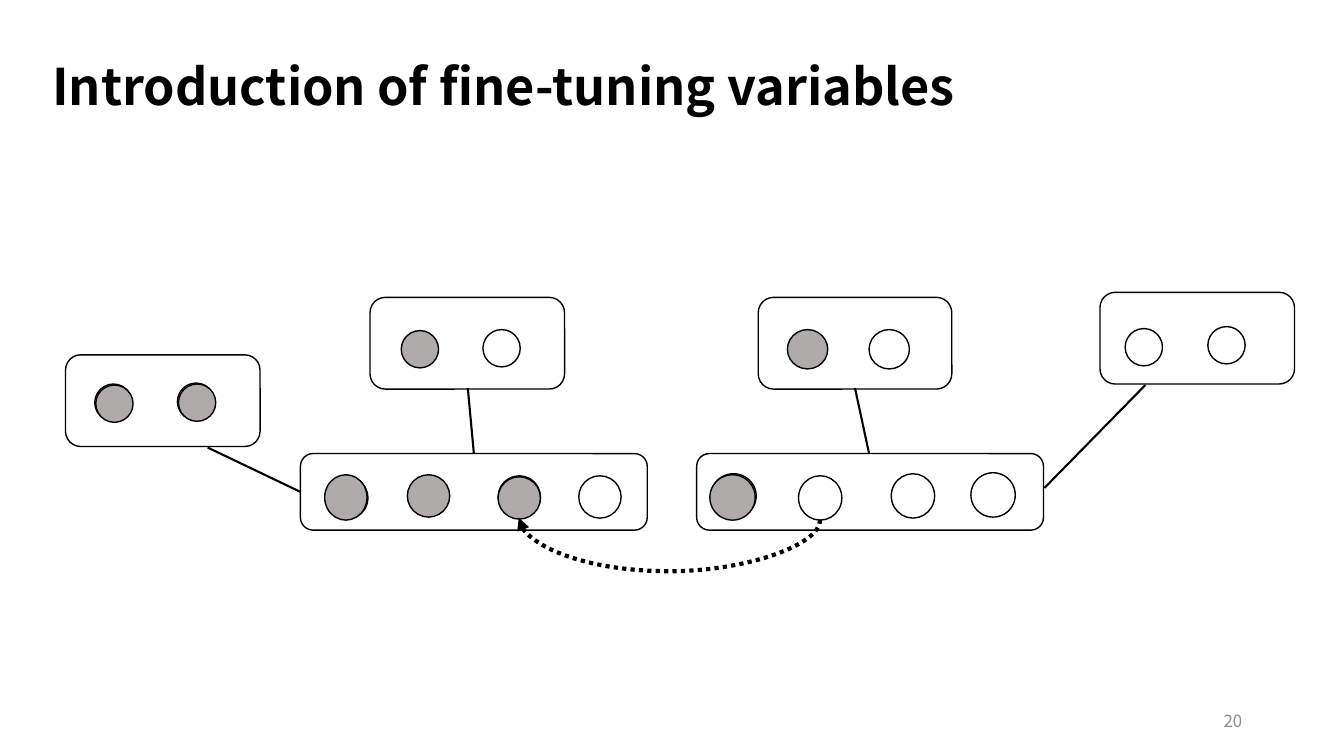
from dataclasses import dataclass

from lxml import etree
from pptx import Presentation
from pptx.dml.color import RGBColor
from pptx.enum.dml import MSO_LINE
from pptx.enum.shapes import MSO_CONNECTOR, MSO_SHAPE
from pptx.enum.text import MSO_ANCHOR, PP_ALIGN
from pptx.oxml.ns import qn
from pptx.shapes.connector import Connector
from pptx.slide import Slide
from pptx.util import Inches, Pt

ROUNDED = MSO_SHAPE.ROUNDED_RECTANGLE
OVAL = MSO_SHAPE.OVAL
STRAIGHT = MSO_CONNECTOR.STRAIGHT
CURVE = MSO_CONNECTOR.CURVE
DOTTED = MSO_LINE.ROUND_DOT
TOP = MSO_ANCHOR.TOP
MIDDLE = MSO_ANCHOR.MIDDLE
LEFT = PP_ALIGN.LEFT
RIGHT = PP_ALIGN.RIGHT


@dataclass(frozen=True)
class Theme:
    font: str = "Noto Sans CJK JP"
    ink: RGBColor = RGBColor(0x00, 0x00, 0x00)
    empty: RGBColor = RGBColor(0xFF, 0xFF, 0xFF)
    assigned: RGBColor = RGBColor(0xAF, 0xAB, 0xAB)
    muted: RGBColor = RGBColor(0x8C, 0x8C, 0x8C)
    title_size: float = 36
    number_size: float = 12
    outline: float = 1
    link: float = 1.5
    arrow: float = 3


@dataclass(frozen=True)
class Variable:
    left: float
    top: float
    width: float
    height: float
    color: RGBColor


@dataclass(frozen=True)
class Cluster:
    left: float
    top: float
    width: float
    height: float
    variables: tuple[Variable, ...]


@dataclass(frozen=True)
class Link:
    start: tuple[float, float]
    end: tuple[float, float]


@dataclass(frozen=True)
class Label:
    text: str
    left: float
    top: float
    width: float
    height: float
    size: float
    color: RGBColor
    bold: bool
    align: PP_ALIGN
    anchor: MSO_ANCHOR
    spacing: float


THEME = Theme()


def empty(left: float, top: float, width: float, height: float) -> Variable:
    return Variable(left, top, width, height, THEME.empty)


def assigned(left: float, top: float, width: float, height: float) -> Variable:
    return Variable(left, top, width, height, THEME.assigned)


CLUSTERS = (
    Cluster(0.65, 3.52, 1.93, 0.91, (
        empty(0.94, 3.81, 0.37, 0.37), assigned(0.95, 3.82, 0.37, 0.37),
        empty(1.76, 3.8, 0.37, 0.37), assigned(1.77, 3.81, 0.37, 0.37))),
    Cluster(3.67, 2.95, 1.93, 0.91, (
        assigned(3.98, 3.28, 0.37, 0.37), empty(4.79, 3.27, 0.37, 0.37))),
    Cluster(7.52, 2.95, 1.92, 0.91, (
        assigned(7.81, 3.27, 0.4, 0.39), empty(8.62, 3.27, 0.4, 0.39))),
    Cluster(10.91, 2.9, 1.93, 0.91, (
        empty(11.16, 3.26, 0.37, 0.37), empty(11.98, 3.24, 0.37, 0.37))),
    Cluster(2.98, 4.5, 3.44, 0.76, (
        empty(3.23, 4.73, 0.42, 0.42), assigned(3.22, 4.71, 0.42, 0.45),
        assigned(4.04, 4.71, 0.42, 0.42),
        empty(4.94, 4.72, 0.42, 0.42), assigned(4.94, 4.73, 0.42, 0.42),
        empty(5.74, 4.72, 0.42, 0.42))),
    Cluster(6.91, 4.5, 3.44, 0.76, (
        empty(7.05, 4.7, 0.45, 0.44), assigned(7.04, 4.71, 0.45, 0.45),
        empty(7.92, 4.72, 0.43, 0.44), empty(8.84, 4.7, 0.43, 0.44),
        empty(9.63, 4.69, 0.44, 0.44))),
)

LINKS = (
    Link((2.06, 4.44), (2.98, 4.88)),
    Link((4.64, 3.85), (4.7, 4.5)),
    Link((8.48, 3.85), (8.62, 4.5)),
    Link((11.36, 3.82), (10.36, 4.84)),
)

LABELS = (
    Label("Introduction of fine-tuning variables", 0.42, 0.57, 10.94, 0.77,
          THEME.title_size, THEME.ink, True, LEFT, TOP, 0.9),
    Label("20", 9.42, 6.95, 3, 0.4,
          THEME.number_size, THEME.muted, False, RIGHT, MIDDLE, 1.0),
)


def draw_outlined(page: Slide, kind: MSO_SHAPE, item: Cluster | Variable,
                  color: RGBColor | None = None) -> None:
    shape = page.shapes.add_shape(
        kind, Inches(item.left), Inches(item.top),
        Inches(item.width), Inches(item.height))
    shape.shadow.inherit = False
    if color is None:
        shape.fill.background()
    else:
        shape.fill.solid()
        shape.fill.fore_color.rgb = color
    shape.line.color.rgb = THEME.ink
    shape.line.width = Pt(THEME.outline)


def draw_cluster(page: Slide, cluster: Cluster) -> None:
    draw_outlined(page, ROUNDED, cluster)
    for variable in cluster.variables:
        draw_outlined(page, OVAL, variable, variable.color)


def draw_link(page: Slide, link: Link, kind: MSO_CONNECTOR, width: float) -> Connector:
    connector = page.shapes.add_connector(
        kind, *(Inches(value) for value in link.start + link.end))
    connector.line.color.rgb = THEME.ink
    connector.line.width = Pt(width)
    etree.SubElement(connector._element.spPr, qn("a:effectLst"))
    return connector


def draw_transfer_arrow(page: Slide) -> None:
    arrow = draw_link(page, Link((6.65, 3.65), (6.63, 6.64)), CURVE, THEME.arrow)
    arrow.line.dash_style = DOTTED
    properties = arrow._element.spPr
    properties.find(qn("a:xfrm")).set("rot", "5400000")
    guides = properties.find(qn("a:prstGeom")).get_or_add_avLst()
    etree.SubElement(guides, qn("a:gd"), name="adj1", fmla="val -2550000")
    etree.SubElement(properties.find(qn("a:ln")), qn("a:tailEnd"), type="triangle")


def draw_label(page: Slide, label: Label) -> None:
    box = page.shapes.add_textbox(
        Inches(label.left), Inches(label.top), Inches(label.width), Inches(label.height))
    frame = box.text_frame
    frame.word_wrap = True
    frame.vertical_anchor = label.anchor
    para = frame.paragraphs[0]
    para.alignment = label.align
    para.line_spacing = label.spacing
    span = para.add_run()
    span.text = label.text
    span.font.name = THEME.font
    span.font.size = Pt(label.size)
    span.font.bold = label.bold
    span.font.color.rgb = label.color


def main() -> None:
    deck = Presentation()
    deck.slide_width = Inches(13.33)
    deck.slide_height = Inches(7.5)
    page = deck.slides.add_slide(deck.slide_layouts[6])
    for cluster in CLUSTERS:
        draw_cluster(page, cluster)
    for link in LINKS:
        draw_link(page, link, STRAIGHT, THEME.link)
    draw_transfer_arrow(page)
    for label in LABELS:
        draw_label(page, label)
    deck.save("out.pptx")


if __name__ == "__main__":
    main()
